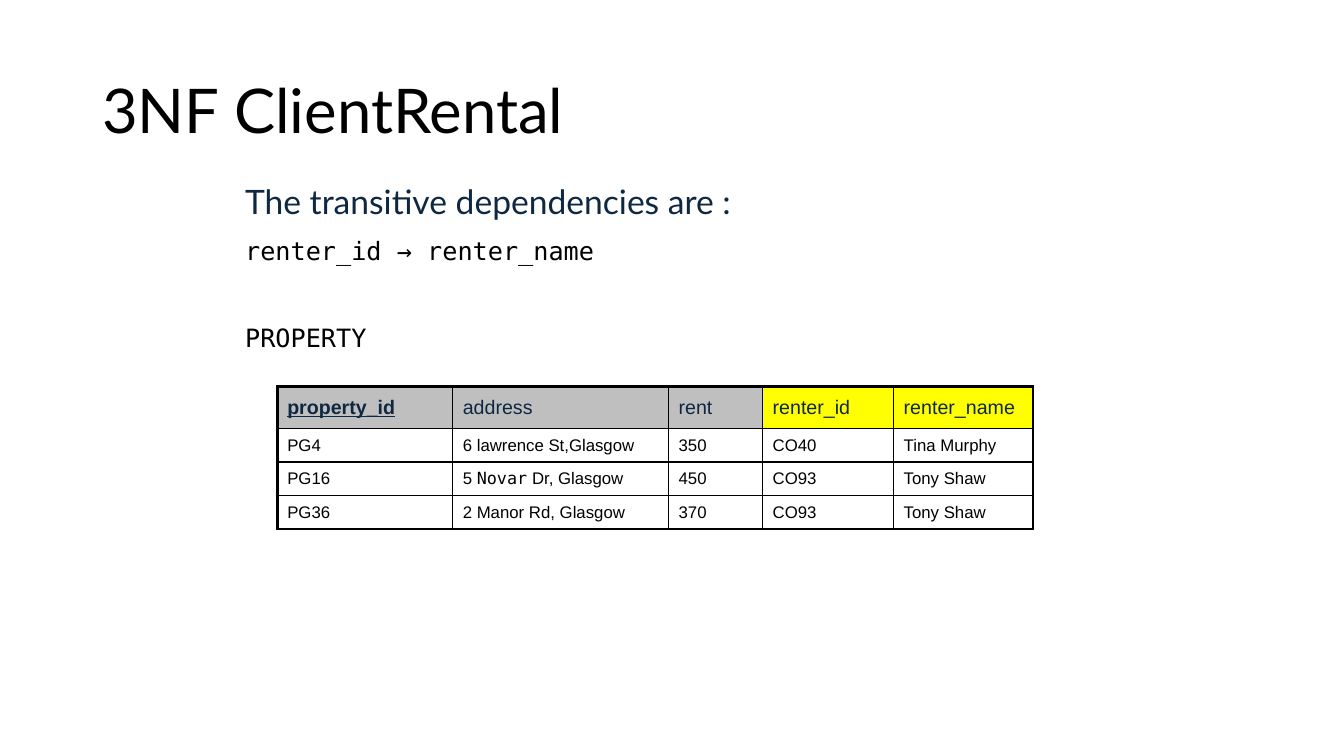
from lxml import etree
from pptx import Presentation
from pptx.dml.color import RGBColor
from pptx.enum.text import MSO_ANCHOR
from pptx.oxml.ns import qn
from pptx.util import Inches, Pt

MIDDLE, TOP = MSO_ANCHOR.MIDDLE, MSO_ANCHOR.TOP
BLACK = RGBColor(0x00, 0x00, 0x00)
NAVY = RGBColor(0x0E, 0x28, 0x41)
GREY = RGBColor(0xBF, 0xBF, 0xBF)
YELLOW = RGBColor(0xFF, 0xFF, 0x00)
SANS, MONO, PLAIN = "Lato", "DejaVu Sans Mono", "Arial"
THIN, THICK = 1, 2.25

WIDTHS = [20.9, 25.7, 11.2, 15.6, 16.6]
HEIGHTS = [5, 4, 4, 4]
HEADS = ["property_id", "address", "rent", "renter_id", "renter_name"]
FILLS = [GREY, GREY, GREY, YELLOW, YELLOW]
ROWS = [
    ["PG4", "6 lawrence St,Glasgow", "350", "CO40", "Tina Murphy"],
    ["PG16", "5 Novar Dr, Glasgow", "450", "CO93", "Tony Shaw"],
    ["PG36", "2 Manor Rd, Glasgow", "370", "CO93", "Tony Shaw"],
]


def write(para, text, size=12, face=PLAIN, color=BLACK, bold=False, under=False):
    run = para.add_run()
    run.text = text
    font = run.font
    font.size, font.name, font.bold, font.underline = Pt(size), face, bold, under
    font.color.rgb = color


def unit(count):
    return Inches(count / 12)


class Sheet:
    """Draws on one slide in a grid of 160 columns by 90 rows."""

    def __init__(self, deck):
        deck.slide_width, deck.slide_height = unit(160), unit(90)
        self.slide = deck.slides.add_slide(deck.slide_layouts[6])

    def text(self, place, lines, anchor=TOP, leading=1.0):
        box = self.slide.shapes.add_textbox(*map(unit, place))
        frame = box.text_frame
        frame.word_wrap = True
        frame.vertical_anchor = anchor
        for index, (words, gap, style) in enumerate(lines):
            para = frame.add_paragraph() if index else frame.paragraphs[0]
            para.space_before = Pt(gap)
            para.line_spacing = leading
            write(para, words, **style)

    def edge(self, cell, sides):
        props = cell._tc.get_or_add_tcPr()
        for index, (side, width) in enumerate(sides.items()):
            line = etree.Element(qn(f"a:ln{side}"), w=str(Pt(width)))
            fill = etree.SubElement(line, qn("a:solidFill"))
            etree.SubElement(fill, qn("a:srgbClr"), val=str(BLACK))
            props.insert(index, line)

    def cell(self, cell, text, fill=None, **style):
        cell.vertical_anchor = MIDDLE
        cell.margin_left = cell.margin_right = Inches(0.1)
        cell.margin_top = cell.margin_bottom = 0
        if fill is None:
            cell.fill.background()
        else:
            cell.fill.solid()
            cell.fill.fore_color.rgb = fill
        para = cell.text_frame.paragraphs[0]
        before, name, after = text.partition("Novar")
        for part in filter(None, (before, name, after)):
            write(para, part, **({**style, "face": MONO} if part == name else style))

    def table(self, left, top):
        size = map(unit, (left, top, sum(WIDTHS), sum(HEIGHTS)))
        table = self.slide.shapes.add_table(len(HEIGHTS), len(WIDTHS), *size).table
        table.first_row = table.horz_banding = False
        for col, width in zip(table.columns, WIDTHS):
            col.width = unit(width)
        for row, height in zip(table.rows, HEIGHTS):
            row.height = unit(height)
        for r, texts in enumerate([HEADS, *ROWS]):
            for c, text in enumerate(texts):
                cell = table.cell(r, c)
                if r == 0:
                    key = c == 0
                    self.cell(cell, text, FILLS[c], size=14, color=NAVY, bold=key, under=key)
                else:
                    self.cell(cell, text)
                outer = {"L": c == 0, "R": c == len(WIDTHS) - 1,
                         "T": r == 0, "B": r == len(HEIGHTS) - 1}
                self.edge(cell, {side: THICK if rim else THIN for side, rim in outer.items()})


def main():
    deck = Presentation()
    sheet = Sheet(deck)
    title = dict(size=44, face=SANS)
    lead = dict(size=24, face=SANS, color=NAVY)
    code = dict(size=18, face=MONO)
    sheet.text((11, 4.8, 138, 17.4), [("3NF ClientRental", 0, title)], MIDDLE, 0.9)
    sheet.text((28, 21, 105.7, 33.4), [
        ("The transitive dependencies are :", 0, lead),
        ("renter_id → renter_name", 9.5, code),
        ("PROPERTY", 40.5, code),
    ])
    sheet.table(33, 46)
    deck.save("out.pptx")


if __name__ == "__main__":
    main()
